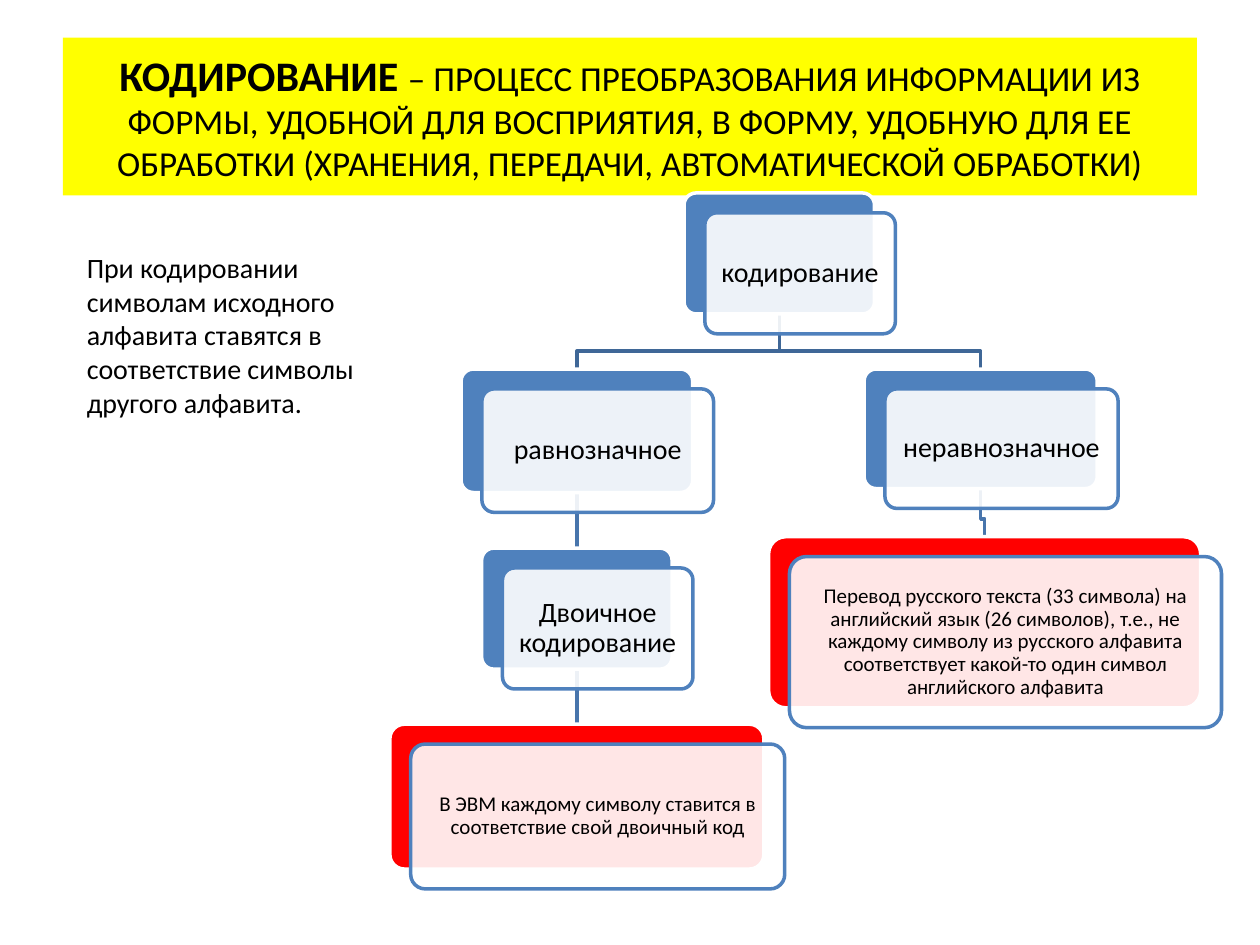
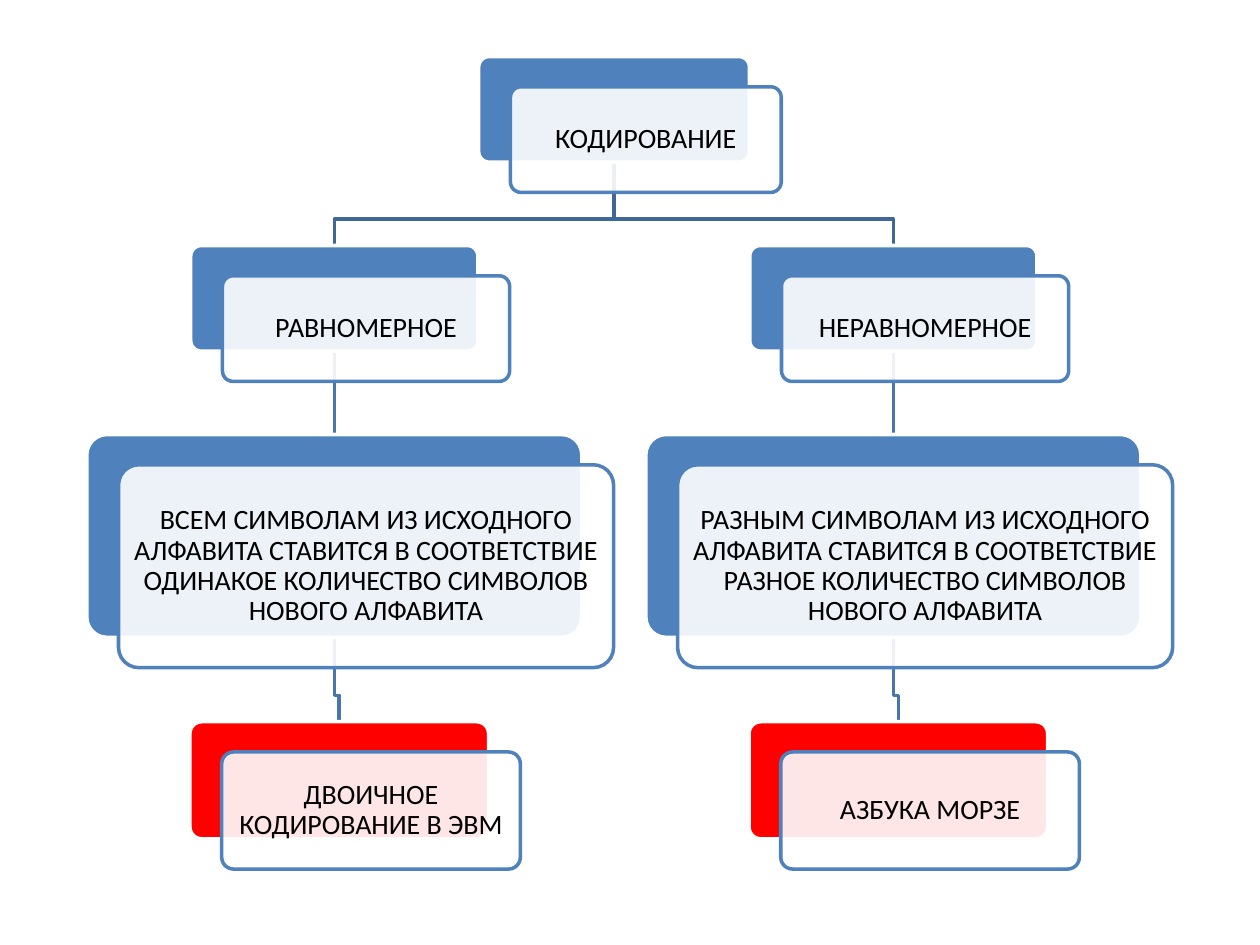
from dataclasses import dataclass
from typing import Iterator

from lxml import etree
from pptx import Presentation
from pptx.dml.color import RGBColor
from pptx.enum.shapes import MSO_CONNECTOR, MSO_SHAPE
from pptx.enum.text import MSO_ANCHOR, MSO_AUTO_SIZE, PP_ALIGN
from pptx.oxml.ns import qn
from pptx.util import Cm, Pt

STRAIGHT = MSO_CONNECTOR.STRAIGHT
RECT = MSO_SHAPE.RECTANGLE
ROUNDED = MSO_SHAPE.ROUNDED_RECTANGLE
MIDDLE = MSO_ANCHOR.MIDDLE
CENTER = PP_ALIGN.CENTER
FIT_SHAPE = MSO_AUTO_SIZE.SHAPE_TO_FIT_TEXT


@dataclass(frozen=True)
class Theme:
    font: str = "Calibri"
    text: str = "000000"
    band: str = "FFFF00"
    blue: str = "4F81BD"
    red: str = "FF0000"
    white: str = "FFFFFF"
    branch: str = "3F6797"  # lines from the root
    twig: str = "4875AC"  # lines further down
    term_size: int = 24
    title_size: int = 20
    body_size: int = 16
    small_size: int = 12
    line_width: float = 2
    corner: float = 0.1
    card_opacity: int = 90  # per cent
    card_spacing: float = 0.9


THEME = Theme()


@dataclass(frozen=True)
class Node:
    """A card of the tree; centre, top, width and height in cm."""
    text: str
    cx: float
    top: float
    width: float
    height: float
    children: tuple["Node", ...] = ()
    color: str = THEME.blue
    size: int = THEME.body_size


@dataclass(frozen=True)
class TreeStyle:
    """Shift of the front card and height of the bend over a child, in cm."""
    dx: float
    dy: float
    bend: float


# ---- Drawing ----
def rgb(color: str) -> RGBColor:
    return RGBColor.from_string(color)


def add_run(p, text: str, size: int, bold: bool = False) -> None:
    r = p.add_run()
    r.text = text
    r.font.name = THEME.font
    r.font.size = Pt(size)
    r.font.bold = bold
    r.font.color.rgb = rgb(THEME.text)


def set_line(sp, color: str) -> None:
    sp.line.color.rgb = rgb(color)
    sp.line.width = Pt(THEME.line_width)


def add_rounded(s, left: float, node: Node, top: float, fill: str, line: str):
    sp = s.shapes.add_shape(ROUNDED, Cm(left), Cm(top), Cm(node.width), Cm(node.height))
    sp.adjustments[0] = THEME.corner
    sp.shadow.inherit = False
    sp.fill.solid()
    sp.fill.fore_color.rgb = rgb(fill)
    set_line(sp, line)
    return sp


def add_card(s, node: Node, style: TreeStyle) -> None:
    left = node.cx - node.width / 2
    add_rounded(s, left, node, node.top, node.color, THEME.white)
    sp = add_rounded(s, left + style.dx, node, node.top + style.dy, THEME.white, THEME.blue)
    fill = sp.element.spPr.find(qn("a:solidFill")).find(qn("a:srgbClr"))
    etree.SubElement(fill, qn("a:alpha")).set("val", str(THEME.card_opacity * 1000))

    # The rounded corners already inset the text by 29% of their radius
    tf = sp.text_frame
    tf.word_wrap = True
    tf.vertical_anchor = MIDDLE
    inset = 0.011 * node.size - 0.29 * THEME.corner * node.height
    tf.margin_left = tf.margin_right = tf.margin_top = tf.margin_bottom = Cm(inset)
    p = tf.paragraphs[0]
    p.alignment = CENTER
    p.line_spacing = THEME.card_spacing
    add_run(p, node.text, node.size)


def add_link(s, parent: Node, child: Node, style: TreeStyle, color: str) -> None:
    x1, y1 = Cm(parent.cx), Cm(parent.top + parent.height)
    x2, y2 = Cm(child.cx), Cm(child.top)
    if x1 == x2:
        sp = s.shapes.add_connector(STRAIGHT, x1, y1, x2, y2)
        set_line(sp, color)
        etree.SubElement(sp.element.spPr, qn("a:effectLst"))
        return
    bend = Cm(child.top - style.bend)
    builder = s.shapes.build_freeform(x1, y1)
    builder.add_line_segments([(x1, bend), (x2, bend), (x2, y2)], close=False)
    sp = builder.convert_to_shape()
    sp.fill.background()
    set_line(sp, color)
    sp.shadow.inherit = False


def walk(node: Node) -> Iterator[Node]:
    yield node
    for child in node.children:
        yield from walk(child)


def add_tree(s, root: Node, style: TreeStyle) -> None:
    nodes = list(walk(root))
    for node in nodes:
        for child in node.children:
            add_link(s, node, child, style, THEME.branch if node is root else THEME.twig)
    for node in nodes:
        add_card(s, node, style)


def add_title(s, term: str, definition: str) -> None:
    sp = s.shapes.add_shape(RECT, Cm(1.27), Cm(0.76), Cm(22.86), Cm(3.18))
    sp.shadow.inherit = False
    sp.fill.solid()
    sp.fill.fore_color.rgb = rgb(THEME.band)
    sp.line.fill.background()
    tf = sp.text_frame
    tf.word_wrap = True
    tf.vertical_anchor = MIDDLE
    p = tf.paragraphs[0]
    p.alignment = CENTER
    add_run(p, term, THEME.term_size, bold=True)
    add_run(p, definition, THEME.title_size)


def add_note(s, text: str) -> None:
    sp = s.shapes.add_textbox(Cm(1.5), Cm(4.93), Cm(6.4), Cm(3.68))
    tf = sp.text_frame
    tf.word_wrap = True
    tf.auto_size = FIT_SHAPE
    add_run(tf.paragraphs[0], text, THEME.body_size)


# ---- Content ----
LEFT_X, RIGHT_X = 11.63, 19.77
KINDS_TREE = Node("кодирование", 15.71, 3.89, 3.84, 2.44, (
    Node("равнозначное", LEFT_X, 7.44, 4.67, 2.49, (
        Node("Двоичное кодирование", LEFT_X, 11.05, 3.84, 2.44, (
            Node("В ЭВМ каждому символу ставится в соответствие свой двоичный код",
                 LEFT_X, 14.6, 7.54, 2.92, color=THEME.red, size=THEME.small_size),
        )),
    )),
    Node("неравнозначное", RIGHT_X, 7.44, 4.7, 2.41, (
        Node("Перевод русского текста (33 символа) на английский язык (26 символов), "
             "т.е., не каждому символу из русского алфавита соответствует какой-то "
             "один символ английского алфавита",
             RIGHT_X + 0.08, 10.82, 8.71, 3.45, color=THEME.red, size=THEME.small_size),
    )),
))


def code_branch(cx: float, kind: str, rule: str, example: str) -> Node:
    leaf = Node(example, cx + 0.1, 14.55, 6.02, 2.36, color=THEME.red)
    return Node(kind, cx, 4.95, 5.79, 2.13, (Node(rule, cx, 8.76, 9.98, 4.09, (leaf,)),))


RULE = "{} СИМВОЛАМ ИЗ ИСХОДНОГО АЛФАВИТА СТАВИТСЯ В СООТВЕТСТВИЕ {} КОЛИЧЕСТВО СИМВОЛОВ НОВОГО АЛФАВИТА"
CODES_TREE = Node("КОДИРОВАНИЕ", 12.38, 1.14, 5.46, 2.13, (
    code_branch(6.74, "РАВНОМЕРНОЕ", RULE.format("ВСЕМ", "ОДИНАКОЕ"),
                "ДВОИЧНОЕ КОДИРОВАНИЕ В ЭВМ"),
    code_branch(18.01, "НЕРАВНОМЕРНОЕ", RULE.format("РАЗНЫМ", "РАЗНОЕ"), "АЗБУКА МОРЗЕ"),
))

# ---- Presentation ----
prs = Presentation()
prs.slide_width, prs.slide_height = Cm(25.4), Cm(19.05)
blank = prs.slide_layouts[6]

# Slide 1: definition and kinds of coding
s = prs.slides.add_slide(blank)
add_title(s, "КОДИРОВАНИЕ ",
          "– ПРОЦЕСС ПРЕОБРАЗОВАНИЯ ИНФОРМАЦИИ ИЗ ФОРМЫ, УДОБНОЙ ДЛЯ ВОСПРИЯТИЯ, "
          "В ФОРМУ, УДОБНУЮ ДЛЯ ЕЕ ОБРАБОТКИ (ХРАНЕНИЯ, ПЕРЕДАЧИ, "
          "АВТОМАТИЧЕСКОЙ ОБРАБОТКИ)")
add_note(s, "При кодировании символам исходного алфавита ставятся в соответствие "
            "символы другого алфавита.")
add_tree(s, KINDS_TREE, TreeStyle(dx=0.42, dy=0.4, bend=0.36))

# Slide 2: uniform and non-uniform codes
s = prs.slides.add_slide(blank)
add_tree(s, CODES_TREE, TreeStyle(dx=0.64, dy=0.61, bend=0.53))

prs.save("out.pptx")
